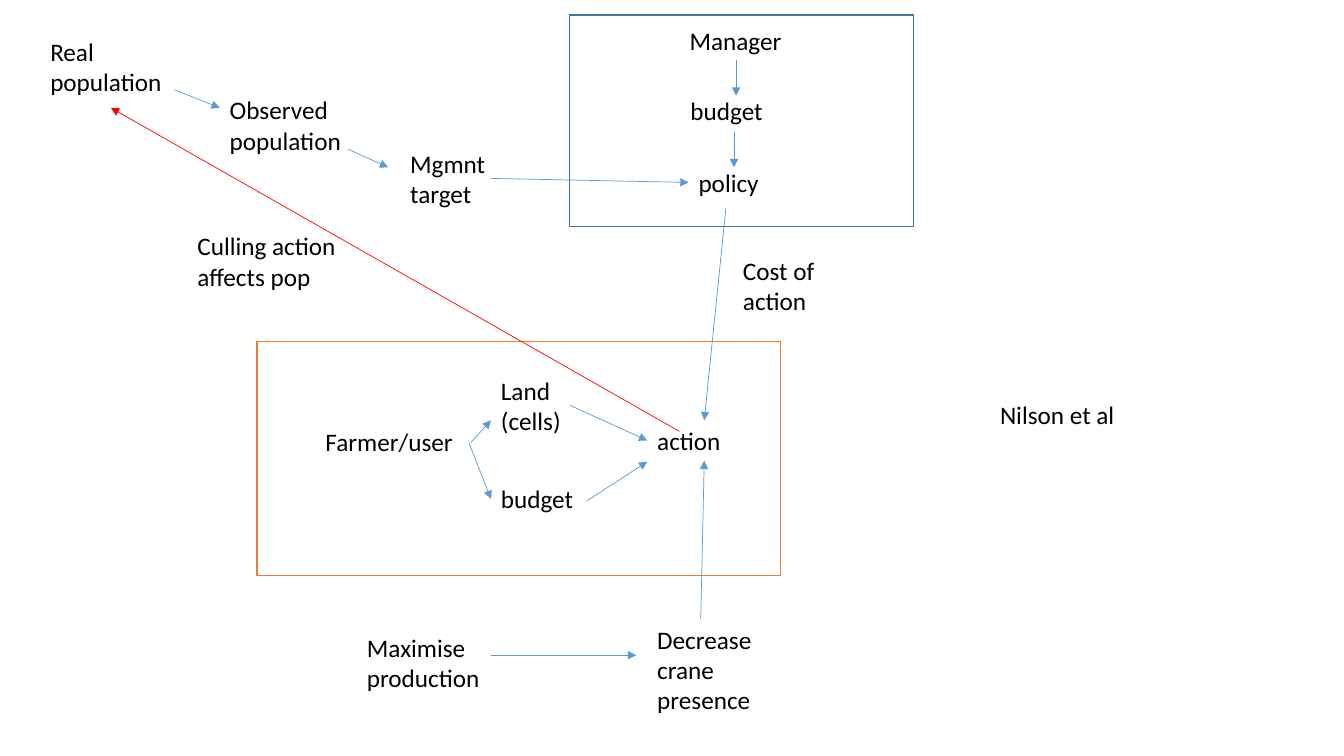
"""Build a slide of a manager, farmer and population feedback diagram."""
from lxml import etree
from pptx import Presentation
from pptx import util as u
from pptx.dml import color
from pptx.enum import shapes, text
from pptx.oxml import ns

COLUMNS, ROWS = 1333, 750
CELL = u.Inches(0.01)
LINE_ROWS = {1: 40, 2: 71, 3: 101}
TOP, LEFT, BOTTOM = 0, 1, 2
BLUE, RED = "5B9BD5", "FF0000"

LABELS = {
    "farmer": ("Farmer/user", 313, 418, 190, 1),
    "land": ("Land (cells)", 487, 367, 113, 2),
    "farmer budget": ("budget", 487, 475, 113, 1),
    "manager": ("Manager", 674, 20, 142, 1),
    "manager budget": ("budget", 675, 90, 113, 1),
    "action": ("action", 642, 417, 113, 1),
    "policy": ("policy", 683, 161, 113, 1),
    "cost": ("Cost of action", 727, 248, 138, 2),
    "observed": ("Observed population", 218, 89, 175, 2),
    "real": ("Real population", 40, 31, 175, 2),
    "target": ("Mgmnt target", 397, 142, 124, 2),
    "maximise": ("Maximise production", 354, 622, 168, 2),
    "decrease": ("Decrease crane presence", 642, 614, 168, 3),
    "culling": ("Culling action affects pop", 186, 224, 159, 2),
    "citation": ("Nilson et al", 982, 391, 196, 1),
}

FRAMES = [
    (565, 15, 341, 210, "43739E"),
    (255, 339, 519, 232, "ED7D31"),
]

FREE_ARROWS = [
    ((730, 60), (730, 95), BLUE),
    ((728, 131), (728, 166), BLUE),
    ((467, 439), (487, 417), BLUE),
    ((173, 89), (218, 107), BLUE),
    ((345, 148), (385, 166), BLUE),
    ((487, 650), (631, 650), BLUE),
    ((674, 428), (110, 107), RED),
]

JOINED_ARROWS = [
    ((465, 439), "farmer budget", LEFT),
    ((565, 402), "action", LEFT),
    ((720, 206), "action", TOP),
    ((695, 614), "action", BOTTOM),
    ((487, 177), "policy", LEFT),
]

CORNER_ARROW = ((582, 497), (642, 458), BLUE)


def rgb(code):
    """Return the colour for a hex string."""
    return color.RGBColor.from_string(code)


def cells(*counts):
    """Turn counts of grid columns or rows into slide lengths."""
    return [count * CELL for count in counts]


def add_label(page, words, column, row, width, lines):
    """Add a wrapped text box that holds one paragraph."""
    box = page.shapes.add_textbox(*cells(column, row, width, LINE_ROWS[lines]))
    frame = box.text_frame
    frame.word_wrap = True
    frame.auto_size = text.MSO_AUTO_SIZE.SHAPE_TO_FIT_TEXT
    span = frame.paragraphs[0].add_run()
    span.text = words
    span.font.name = "Calibri"
    span.font.size = u.Pt(18)
    span.font.color.rgb = rgb("000000")
    return box


def add_frame(page, column, row, width, height, code):
    """Add an unfilled rectangle with a coloured outline."""
    box = page.shapes.add_shape(
        shapes.MSO_SHAPE.RECTANGLE, *cells(column, row, width, height))
    box.shadow.inherit = False
    box.fill.background()
    box.line.color.rgb = rgb(code)
    box.line.width = u.Pt(1)


def add_arrow(page, start, end, code):
    """Add a thin straight arrow between two grid points."""
    arrow = page.shapes.add_connector(
        shapes.MSO_CONNECTOR.STRAIGHT, *cells(*start, *end))
    arrow.line.color.rgb = rgb(code)
    arrow.line.width = u.Pt(0.5)
    etree.SubElement(arrow.line._get_or_add_ln(), ns.qn("a:tailEnd"), type="triangle")
    etree.SubElement(arrow._element.spPr, ns.qn("a:effectLst"))
    return arrow


def join_arrow(page, start, box, side):
    """Add a blue arrow that ends at the middle of a box's side."""
    arrow = add_arrow(page, start, start, BLUE)
    arrow.end_connect(box, side)


def main():
    """Build the slide and save it."""
    deck = Presentation()
    deck.slide_width, deck.slide_height = cells(COLUMNS, ROWS)
    page = deck.slides.add_slide(deck.slide_layouts[6])
    boxes = {name: add_label(page, *label) for name, label in LABELS.items()}
    for frame in FRAMES:
        add_frame(page, *frame)
    for arrow in FREE_ARROWS + [CORNER_ARROW]:
        add_arrow(page, *arrow)
    for start, name, side in JOINED_ARROWS:
        join_arrow(page, start, boxes[name], side)
    deck.save("out.pptx")


if __name__ == "__main__":
    main()
